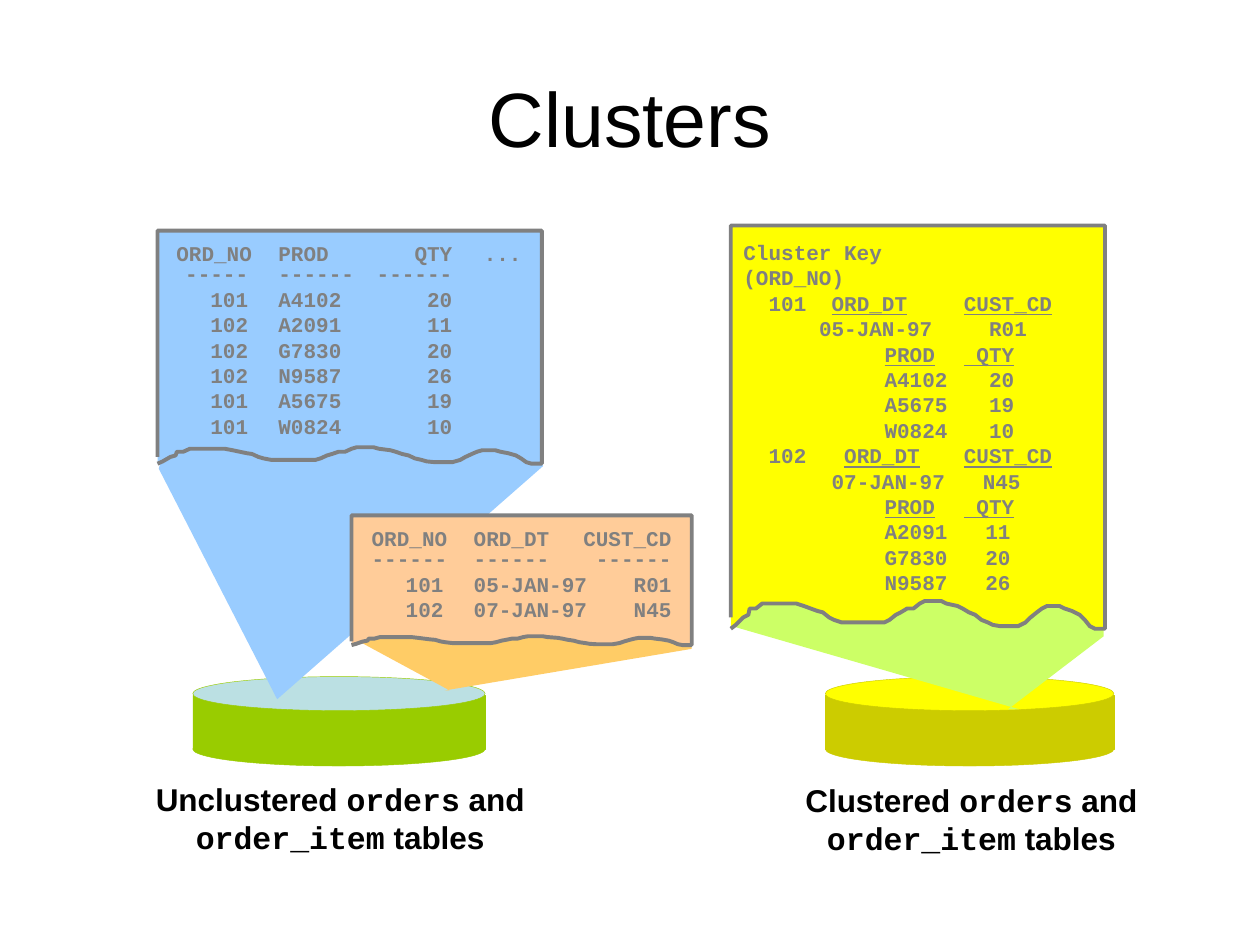
"""Build a slide that compares unclustered and clustered tables."""
import pptx
import pptx.util
import pptx.dml.color
import pptx.enum.shapes
import pptx.enum.text
import pptx.oxml.ns
import lxml.etree

Inches, Pt = pptx.util.Inches, pptx.util.Pt
RGB = pptx.dml.color.RGBColor
Kind = pptx.enum.shapes.MSO_SHAPE
Align = pptx.enum.text.PP_ALIGN
qn = pptx.oxml.ns.qn

COLORS = {
    "black": "000000", "gray": "808080", "yellow": "FFFF00", "olive": "CCCC00",
    "lime": "CCFF66", "green": "99CC00", "teal": "BBE0E3", "blue": "99CCFF",
    "peach": "FFCC99", "orange": "FFCC66",
}


def paint(shape, fill, line=None, width=0.25):
    shape.shadow.inherit = False
    shape.fill.solid()
    shape.fill.fore_color.rgb = RGB.from_string(COLORS[fill])
    if line:
        shape.line.color.rgb = RGB.from_string(COLORS[line])
        shape.line.width = Pt(width)
    else:
        shape.line.fill.background()


def box(left, top, width, height):
    frame = slide.shapes.add_textbox(
        Inches(left), Inches(top), Inches(width), Inches(height)).text_frame
    frame.word_wrap = True
    frame.margin_left = frame.margin_right = Inches(0.09)
    return frame


deck = pptx.Presentation()
deck.slide_width, deck.slide_height = Inches(10), Inches(7.5)
slide = deck.slides.add_slide(deck.slide_layouts[6])

for left, width, side, lid in [(6.55, 2.29, "olive", "yellow"), (1.53, 2.32, "green", "teal")]:
    disk = slide.shapes.add_group_shape()
    for kind, top, height, fill in [
        (Kind.RECTANGLE, 5.52, 0.43, side),
        (Kind.OVAL, 5.37, 0.27, lid),
        (Kind.OVAL, 5.81, 0.27, side),
    ]:
        part = disk.shapes.add_shape(
            kind, Inches(left), Inches(top), Inches(width), Inches(height))
        paint(part, fill, side)

frame = box(0.5, 0.3, 9, 1.25)
frame.vertical_anchor = pptx.enum.text.MSO_ANCHOR.MIDDLE
para = frame.paragraphs[0]
para.text = "Clusters"
para.alignment = Align.CENTER
para.font.size, para.font.name = Pt(44), "Arial"
para.font.color.rgb = RGB.from_string(COLORS["black"])

for left, top, width, word in [(6.21, 6.15, 3, "Clustered "), (0.94, 6.14, 3.52, "Unclustered ")]:
    para = box(left, top, width, 0.69).paragraphs[0]
    para.alignment = Align.CENTER
    para.space_before = Pt(11.2)
    para.font.size, para.font.bold = Pt(18), True
    para.font.color.rgb = RGB.from_string(COLORS["black"])
    for place, text in enumerate([word, "orders", " and ", "order_item", " tables"]):
        run = para.add_run()
        run.text = text
        run.font.name = "Courier New" if place % 2 else "Arial"

WAVE = [
    (297, 22), (289, 22), (285, 20), (281, 15), (277, 11), (271, 8), (265, 6),
    (261, 4), (251, 4), (247, 6), (243, 9), (238, 13), (234, 17), (228, 20),
    (214, 20), (208, 19), (204, 17), (199, 15), (194, 11), (189, 9), (184, 6),
    (180, 4), (171, 2), (167, 0), (154, 0), (150, 2), (145, 6), (140, 6),
    (135, 9), (131, 11), (126, 15), (122, 17), (88, 17), (82, 15), (78, 13),
    (73, 9), (69, 8), (58, 4), (52, 2), (25, 2), (20, 6), (15, 6), (14, 11),
    (10, 13), (4, 19), (0, 22),
]
KEY = "0.2l 0.7l 1.75l"
PAIR = "1.12l 1.75l"
FIRST = "1.12l 1.95l"
SECOND = "1.12l 1.92l"
ITEM = "0.57r 0.81l 2.19r 2.44l"
HEAD = "0.57r 0.81l 2.47r"
ORDER = "0.57r 0.81l 2.4r"

SHEETS = [
    {"page": (5.8, 1.79, 2.97, 3.2, 0.22), "fill": "yellow", "glow": "lime",
     "cone": [(8.09, 5.63), (5.81, 4.97), (5.81, 1.8), (8.76, 1.8), (8.76, 5.05), (8, 5.63)],
     "box": (5.81, 1.89, 2.98, 2.87),
     "rows": [
         ("", "Cluster Key", ""), ("", "(ORD_NO)", ""),
         (KEY, "\t101\t", "ORD_DT\tCUST_CD"),
         ("0.6l 1.95l", "\t05-JAN-97\tR01", ""),
         (PAIR, "\t", "PROD\t QTY"),
         (FIRST, "\tA4102\t20", ""), (FIRST, "\tA5675\t19", ""), (FIRST, "\tW0824\t10", ""),
         ("0.2l 0.8l 1.75l", "\t102\t", "ORD_DT\tCUST_CD"),
         ("0.7l 1.9l", "\t07-JAN-97\tN45", ""),
         (PAIR, "\t", "PROD\t QTY"),
         (SECOND, "\tA2091\t11", ""), (SECOND, "\tG7830\t20", ""), (SECOND, "\tN9587\t26", ""),
     ]},
    {"page": (1.25, 1.83, 3.05, 1.85, 0.13), "fill": "blue", "glow": "blue",
     "cone": [(2.2, 5.55), (1.26, 3.72), (1.35, 3.41), (4.19, 3.43), (4.31, 3.7)],
     "box": (1.31, 1.9, 3, 1.62),
     "rows": [
         (ITEM, "\tORD_NO\tPROD\tQTY\t...\v\t-----\t------\t------", ""),
         (ITEM, "\t101\tA4102\t20", ""), (ITEM, "\t102\tA2091\t11", ""),
         (ITEM, "\t102\tG7830\t20", ""), (ITEM, "\t102\tN9587\t26", ""),
         (ITEM, "\t101\tA5675\t19", ""), (ITEM, "\t101\tW0824\t10", ""),
     ]},
    {"page": (2.79, 4.09, 2.7, 1.03, 0.07), "fill": "peach", "glow": "orange",
     "cone": [(3.57, 5.48), (2.83, 5.08), (2.83, 4.1), (5.49, 4.1), (5.49, 5.15), (3.53, 5.48)],
     "box": (2.86, 4.16, 2.56, 1.01),
     "rows": [
         (HEAD, "\tORD_NO\tORD_DT\tCUST_CD\v\t------\t------\t------", ""),
         (ORDER, "\t101\t05-JAN-97\tR01", ""), (ORDER, "\t102\t07-JAN-97\tN45", ""),
     ]},
]

for sheet in SHEETS:
    left, top, width, height, wave = sheet["page"]
    base = top + height
    page = [(left, base - wave * 0.41), (left, top), (left + width, top)]
    page += [(left + width * x / 297, base - wave * (1 - y / 22)) for x, y in WAVE]
    for points, fill, line, close in [
        (sheet["cone"], sheet["glow"], None, True),
        (page, sheet["fill"], "gray", False),
    ]:
        spots = [(Inches(x), Inches(y)) for x, y in points]
        pen = slide.shapes.build_freeform(*spots[0])
        pen.add_line_segments(spots[1:], close=close)
        paint(pen.convert_to_shape(), fill, line, 2.25)

    frame = box(*sheet["box"])
    for place, (stops, plain, under) in enumerate(sheet["rows"]):
        para = frame.add_paragraph() if place else frame.paragraphs[0]
        para.text = plain
        if under:
            run = para.add_run()
            run.text = under
            run.font.underline = True
        para.line_spacing, para.space_before = 0.8, Pt(3)
        if stops:
            tabs = lxml.etree.SubElement(para._p.get_or_add_pPr(), qn("a:tabLst"))
            for stop in stops.split():
                lxml.etree.SubElement(
                    tabs, qn("a:tab"), pos=str(Inches(float(stop[:-1]))), algn=stop[-1])
        para.font.size, para.font.name, para.font.bold = Pt(12), "Courier New", True
        para.font.color.rgb = RGB.from_string(COLORS["gray"])

deck.save("out.pptx")
